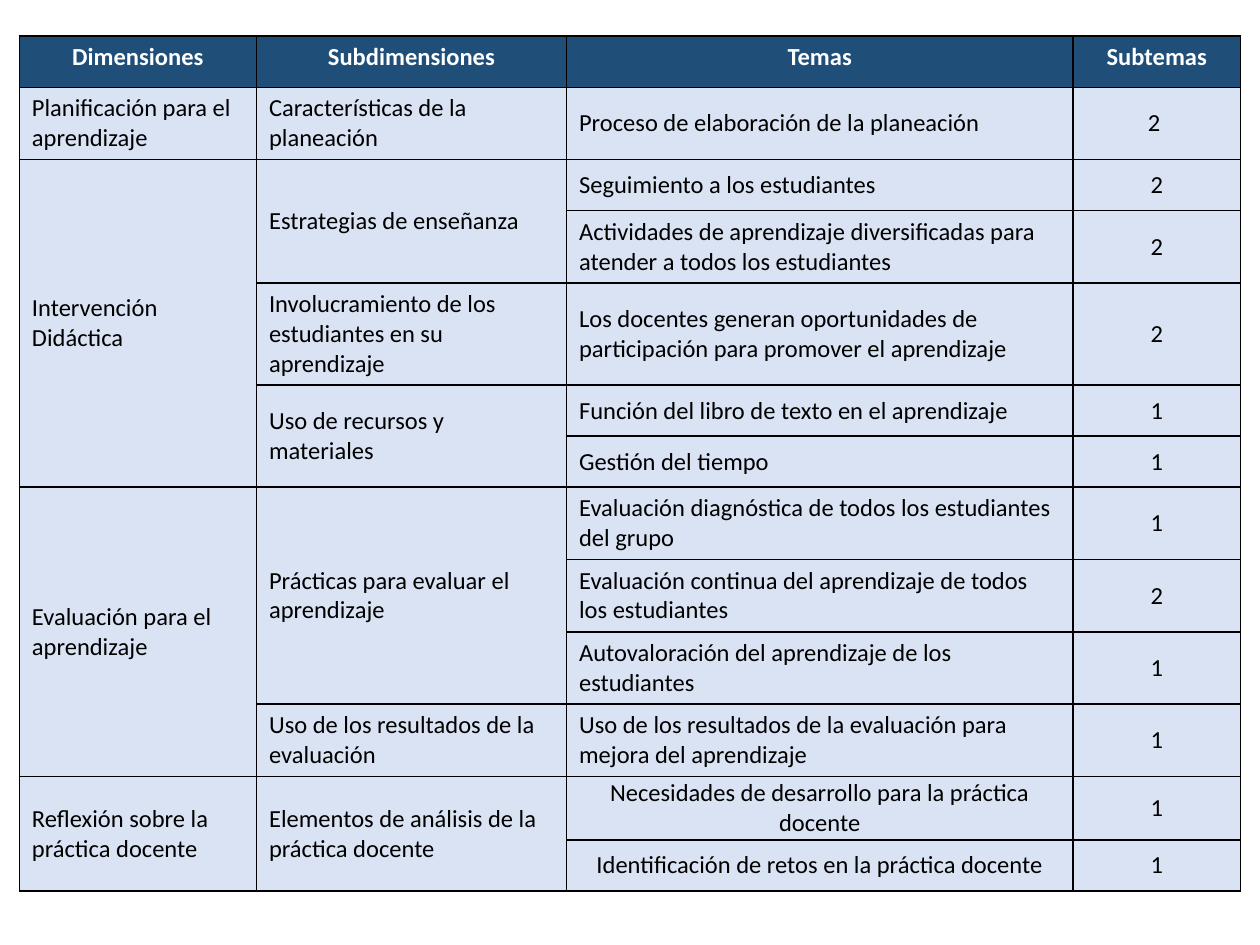
from lxml import etree
from pptx import Presentation
from pptx import util as u
from pptx.dml.color import RGBColor
from pptx.enum import text
from pptx.oxml import ns

COLORS = {"header": "1F4E79", "body": "DAE3F3", "border": "000000",
          "header_text": "FFFFFF", "body_text": "000000"}
HEADINGS = ["Dimensiones", "Subdimensiones", "Temas", "Subtemas"]
COLUMN_WIDTHS = [4.78, 6.25, 10.21, 3.38]
ROW_HEIGHT = 1.03

# Dimension -> subdimension -> (topic, number of subtopics)
DIMENSIONS = {
    "Planificación para el aprendizaje": {
        "Características de la planeación": [
            ("Proceso de elaboración de la planeación", "2 ")],
    },
    "Intervención Didáctica": {
        "Estrategias de enseñanza": [
            ("Seguimiento a los estudiantes", "2"),
            ("Actividades de aprendizaje diversificadas para atender a todos los estudiantes", "2")],
        "Involucramiento de los estudiantes en su aprendizaje": [
            ("Los docentes generan oportunidades de participación para promover el aprendizaje", "2")],
        "Uso de recursos y materiales": [
            ("Función del libro de texto en el aprendizaje", "1"),
            ("Gestión del tiempo", "1")],
    },
    "Evaluación para el aprendizaje": {
        "Prácticas para evaluar el aprendizaje": [
            ("Evaluación diagnóstica de todos los estudiantes del grupo", "1"),
            ("Evaluación continua del aprendizaje de todos los estudiantes", "2"),
            ("Autovaloración del aprendizaje de los estudiantes", "1")],
        "Uso de los resultados de la evaluación": [
            ("Uso de los resultados de la evaluación para mejora del aprendizaje", "1")],
    },
    "Reflexión sobre la práctica docente": {
        "Elementos de análisis de la práctica docente": [
            ("Necesidades de desarrollo para la práctica docente", "1"),
            ("Identificación de retos en la práctica docente", "1")],
    },
}
CENTERED_DIMENSION = "Reflexión sobre la práctica docente"


def style_cell(cell, kind):
    """Give a cell its fill and thin black borders."""
    properties = cell._tc.get_or_add_tcPr()
    for side in ("a:lnL", "a:lnR", "a:lnT", "a:lnB"):
        line = etree.SubElement(properties, ns.qn(side), w=str(u.Pt(1)))
        fill = etree.SubElement(line, ns.qn("a:solidFill"))
        etree.SubElement(fill, ns.qn("a:srgbClr"), val=COLORS["border"])
    cell.fill.solid()
    cell.fill.fore_color.rgb = RGBColor.from_string(COLORS[kind])


def write_cell(cell, wording, kind="body", centered=False):
    cell.text = wording
    para = cell.text_frame.paragraphs[0]
    para.alignment = text.PP_ALIGN.CENTER if centered else text.PP_ALIGN.LEFT
    para.font.name = "Calibri"
    para.font.size = u.Pt(14)
    para.font.bold = kind == "header"
    para.font.color.rgb = RGBColor.from_string(COLORS[kind + "_text"])
    if kind == "body":
        cell.vertical_anchor = text.MSO_ANCHOR.MIDDLE


def write_group(table, first, last, column, wording):
    """Write one cell that spans the rows first to last."""
    cell = table.cell(first, column)
    if last > first:
        cell.merge(table.cell(last, column))
    write_cell(cell, wording)


def add_dimension_table(page, left, top, width, height):
    topic_count = sum(len(topics) for group in DIMENSIONS.values()
                      for topics in group.values())
    frame = page.shapes.add_table(topic_count + 1, len(HEADINGS), left, top, width, height)
    table = frame.table
    for column, size in zip(table.columns, COLUMN_WIDTHS):
        column.width = u.Cm(size)
    for number, row in enumerate(table.rows):
        row.height = u.Cm(ROW_HEIGHT)
        for cell in row.cells:
            style_cell(cell, "body" if number else "header")
    frame.height = height  # rows grow to fit their text

    # Header
    for column, heading in enumerate(HEADINGS):
        write_cell(table.cell(0, column), heading, "header", centered=True)

    # Body
    row = 1
    for dimension, subdimensions in DIMENSIONS.items():
        dimension_start = row
        centered = dimension == CENTERED_DIMENSION
        for subdimension, topics in subdimensions.items():
            write_group(table, row, row + len(topics) - 1, 1, subdimension)
            for topic, subtopics in topics:
                topic_cell = table.cell(row, 2)
                write_cell(topic_cell, topic, centered=centered)
                if centered:
                    topic_cell.margin_left = topic_cell.margin_right = u.Cm(0.08)
                    topic_cell.margin_top = topic_cell.margin_bottom = u.Cm(0.04)
                write_cell(table.cell(row, 3), subtopics, centered=True)
                row += 1
        write_group(table, dimension_start, row - 1, 0, dimension)


def main():
    deck = Presentation()
    deck.slide_width, deck.slide_height = u.Cm(25.4), u.Cm(19.05)
    page = deck.slides.add_slide(deck.slide_layouts[6])
    add_dimension_table(page, u.Cm(0.39), u.Cm(0.73), u.Cm(sum(COLUMN_WIDTHS)), u.Cm(17.12))
    deck.save("out.pptx")


if __name__ == "__main__":
    main()
